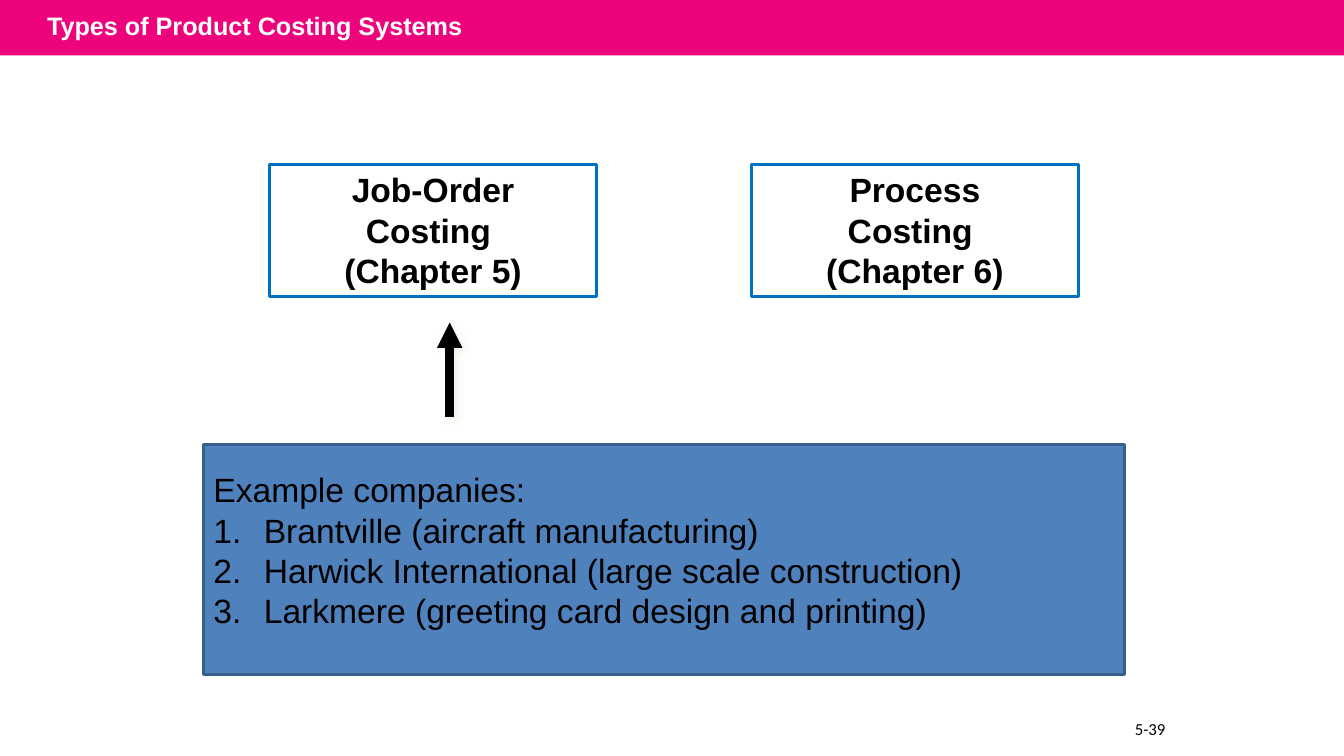
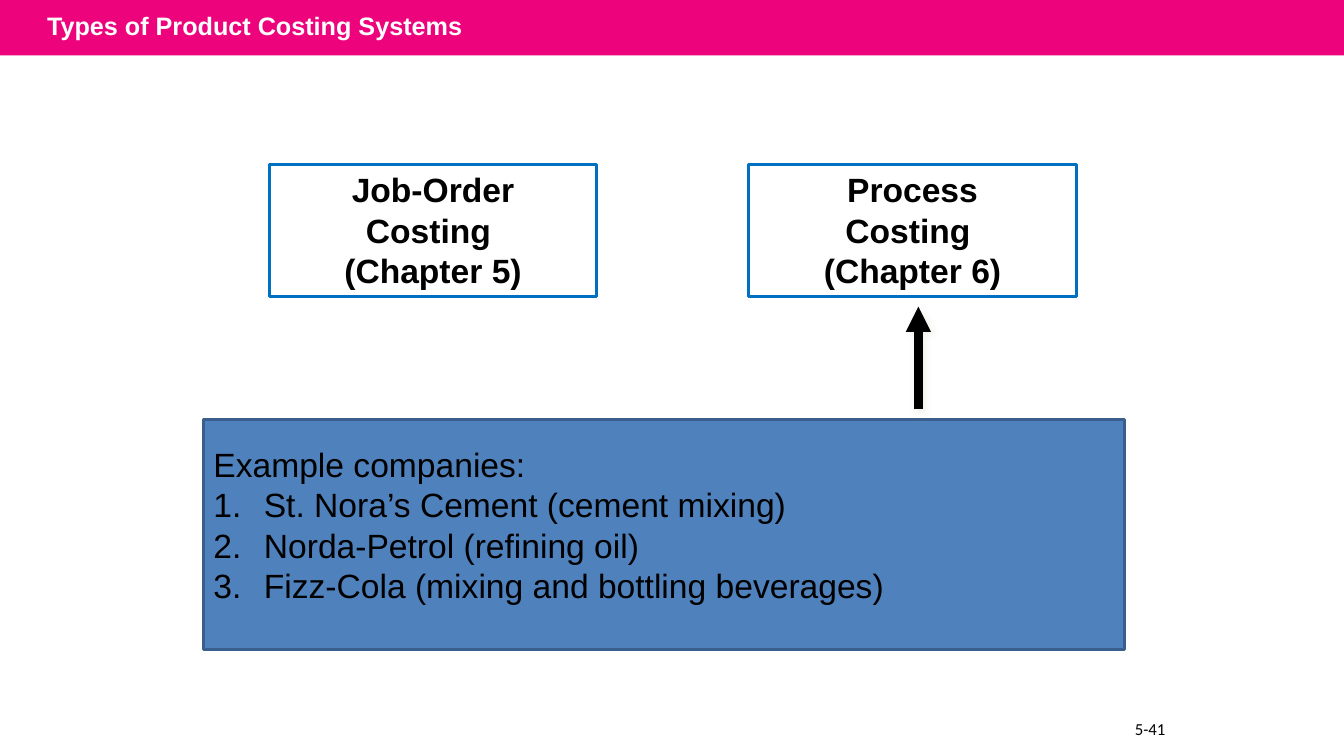
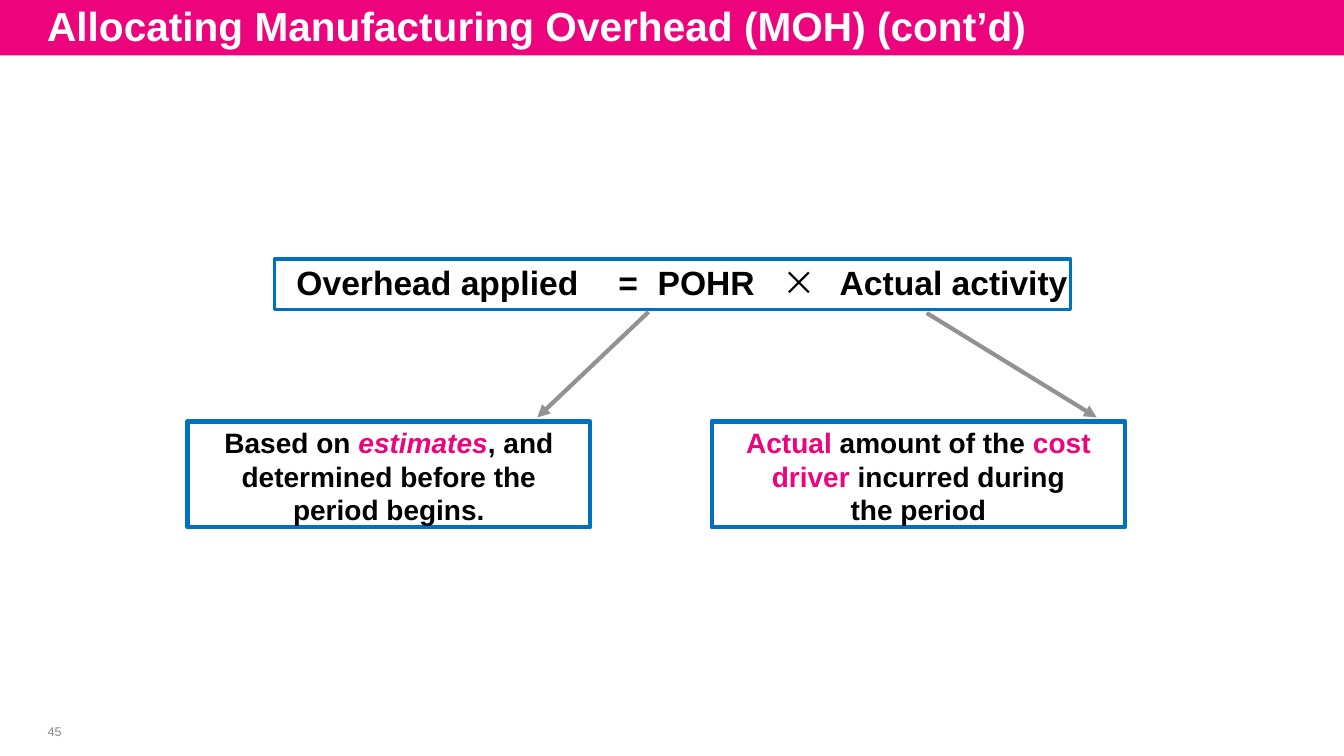
"""Builds three slides on product costing systems and overhead allocation."""
import lxml.etree
import pptx
import pptx.dml.color
import pptx.enum.shapes
import pptx.enum.text
import pptx.oxml.ns
import pptx.util

Pt = pptx.util.Pt
qn = pptx.oxml.ns.qn
SHAPE = pptx.enum.shapes.MSO_SHAPE
ALIGN = pptx.enum.text.PP_ALIGN
ANCHOR = pptx.enum.text.MSO_ANCHOR
COLORS = {
    "pink": "ED037C", "white": "FFFFFF", "black": "000000", "blue": "0070C0",
    "panel": "4F81BD", "panel_line": "3A5F8C", "arrow": "929292",
    "number": "8C8C8C", "shadow": "EEECE1",
}


def rgb(name):
    return pptx.dml.color.RGBColor.from_string(COLORS[name])


class Deck:
    def __init__(self):
        self.prs = pptx.Presentation()
        self.prs.slide_width, self.prs.slide_height = Pt(960), Pt(540)
        self.s = None

    def slide(self, title, size):
        self.s = self.prs.slides.add_slide(self.prs.slide_layouts[6])
        self.box(0, 0, 960, 39.6, fill="pink")
        sp = self.text(26.6, -2, 756, 39.6, title, size, "white", bold=True)
        sp.text_frame.vertical_anchor = ANCHOR.MIDDLE
        sp.text_frame.paragraphs[0].space_before = Pt(size / 5)

    def box(self, x, y, w, h, fill=None, line=None, weight=2.25):
        sp = self.s.shapes.add_shape(SHAPE.RECTANGLE, Pt(x), Pt(y), Pt(w), Pt(h))
        sp.shadow.inherit = False
        if fill:
            sp.fill.solid()
            sp.fill.fore_color.rgb = rgb(fill)
        else:
            sp.fill.background()
        if line:
            sp.line.color.rgb = rgb(line)
            sp.line.width = Pt(weight)
        else:
            sp.line.fill.background()
        return sp

    def margins(self, tf, left=7.2, top=3.6, right=7.2, bottom=3.6):
        tf.margin_left, tf.margin_top = Pt(left), Pt(top)
        tf.margin_right, tf.margin_bottom = Pt(right), Pt(bottom)
        tf.vertical_anchor = ANCHOR.TOP
        tf.word_wrap = True

    def font(self, r, size, color="black", bold=False, italic=False, name="Arial"):
        f = r.font
        f.size, f.bold, f.italic, f.name = Pt(size), bold, italic, name
        f.color.rgb = rgb(color)

    def plain(self, tf, text, size, color="black", bold=False, name="Arial", align=ALIGN.LEFT):
        tf.text = text
        for p in tf.paragraphs:
            p.alignment = align
            for r in p.runs:
                self.font(r, size, color, bold, name=name)

    def text(self, x, y, w, h, text, size, color="black", **style):
        sp = self.s.shapes.add_textbox(Pt(x), Pt(y), Pt(w), Pt(h))
        self.margins(sp.text_frame)
        self.plain(sp.text_frame, text, size, color, **style)
        return sp

    def system(self, x, text):
        sp = self.box(x, 117.4, 234, 94.3, "white", "blue")
        self.margins(sp.text_frame)
        self.plain(sp.text_frame, text, 24, bold=True, align=ALIGN.CENTER)

    def examples(self, y, companies):
        tf = self.box(145.4, y, 658, 164.2, "panel", "panel_line", 2).text_frame
        self.margins(tf, bottom=17.4)
        tf.vertical_anchor = ANCHOR.MIDDLE
        self.plain(tf, "\n".join(["Example companies:"] + companies), 24)
        for p in tf.paragraphs[1:]:
            pPr = p._p.get_or_add_pPr()
            pPr.set("marL", str(Pt(36)))
            pPr.set("indent", str(Pt(-36)))
            lxml.etree.SubElement(pPr, qn("a:buFont"), typeface="+mj-lt")
            lxml.etree.SubElement(pPr, qn("a:buAutoNum"), type="arabicPeriod")

    def rich(self, sp, pieces, size, side, align):
        tf = sp.text_frame
        self.margins(tf, side, 2.9, 0 if align == ALIGN.LEFT else side, 0)
        p = tf.paragraphs[0]
        p.alignment = align
        p.space_before = Pt(3)
        for text, style in pieces:
            if text == "\v":
                p.add_line_break()
                continue
            r = p.add_run()
            r.text = text
            self.font(r, size, **{"bold": True, **style})
        return p

    def formula(self, pieces, tabs):
        sp = self.box(195.8, 185, 569, 36, line="blue")
        p = self.rich(sp, pieces, 24, 16, ALIGN.LEFT)
        p.line_spacing = Pt(28)
        stops = lxml.etree.SubElement(p._p.get_or_add_pPr(), qn("a:tabLst"))
        for tab in tabs:
            lxml.etree.SubElement(stops, qn("a:tab"), pos=str(Pt(tab)), algn="l")

    def note(self, x, w, pieces):
        sp = self.box(x, 301, w, 75.6, line="blue", weight=3)
        self.rich(sp, pieces, 20, 20, ALIGN.CENTER)

    def arrow(self, x1, y1, x2, y2, color="arrow", weight=3, shadow=False):
        cx = self.s.shapes.add_connector(
            pptx.enum.shapes.MSO_CONNECTOR.STRAIGHT, Pt(x1), Pt(y1), Pt(x2), Pt(y2))
        cx.line.color.rgb = rgb(color)
        cx.line.width = Pt(weight)
        spPr = cx._element.spPr
        lxml.etree.SubElement(spPr.find(qn("a:ln")), qn("a:tailEnd"), type="triangle")
        effects = lxml.etree.SubElement(spPr, qn("a:effectLst"))
        if shadow:
            outer = lxml.etree.SubElement(
                effects, qn("a:outerShdw"), blurRad=str(Pt(5)), dist=str(Pt(3)), dir="2700000")
            clr = lxml.etree.SubElement(outer, qn("a:srgbClr"), val=COLORS["shadow"])
            lxml.etree.SubElement(clr, qn("a:alpha"), val="75000")

    def costing(self, process_x, arrow, panel_y, companies, number):
        self.slide("Types of Product Costing Systems", 18)
        self.system(192.3, "Job-Order\vCosting \n(Chapter 5)")
        self.system(process_x, "Process\vCosting \n(Chapter 6)")
        x, start, end = arrow
        self.arrow(x, start, x, end, "black", 6, shadow=True)
        self.text(803.5, 509.8, 40, 21.6, number, 12, name="Calibri")
        self.examples(panel_y, companies)


def main():
    deck = Deck()
    deck.costing(536.5, (321.2, 298, 230.4), 317.5, [
        "Brantville (aircraft manufacturing)",
        "Harwick International (large scale construction)",
        "Larkmere (greeting card design and printing)"], "5-39")
    deck.costing(534.8, (656, 292.4, 219), 299.5, [
        "St. Nora’s Cement (cement mixing)",
        "Norda-Petrol (refining oil)",
        "Fizz-Cola (mixing and bottling beverages)"], "5-41")

    deck.slide("Allocating Manufacturing Overhead (MOH) (cont’d)", 29)
    sp = deck.text(20, 514, 38, 17.4, "45", 9, "number", align=ALIGN.CENTER)
    deck.margins(sp.text_frame, 0, 0, 0, 0)
    sp.text_frame.vertical_anchor = ANCHOR.MIDDLE
    deck.formula([
        ("Overhead applied\t=\tPOHR\t", {}),
        ("×\t", {"name": "Noto Sans CJK JP", "bold": False}),
        ("Actual activity", {})], (230, 258, 347, 388))
    pink = {"color": "pink"}
    deck.note(134, 287.6, [
        ("Based on ", {}), ("estimates", {"italic": True, **pink}),
        (", and determined before the period begins.", {})])
    deck.note(508.3, 295.4, [
        ("Actual ", pink), ("amount of the ", {}), ("cost driver ", pink),
        ("incurred during", {}), ("\v", {}), ("the period", {})])
    deck.arrow(662, 223.6, 783.4, 298.2)
    deck.arrow(463.3, 222.8, 383.8, 298.2)
    deck.prs.save("out.pptx")


if __name__ == "__main__":
    main()
